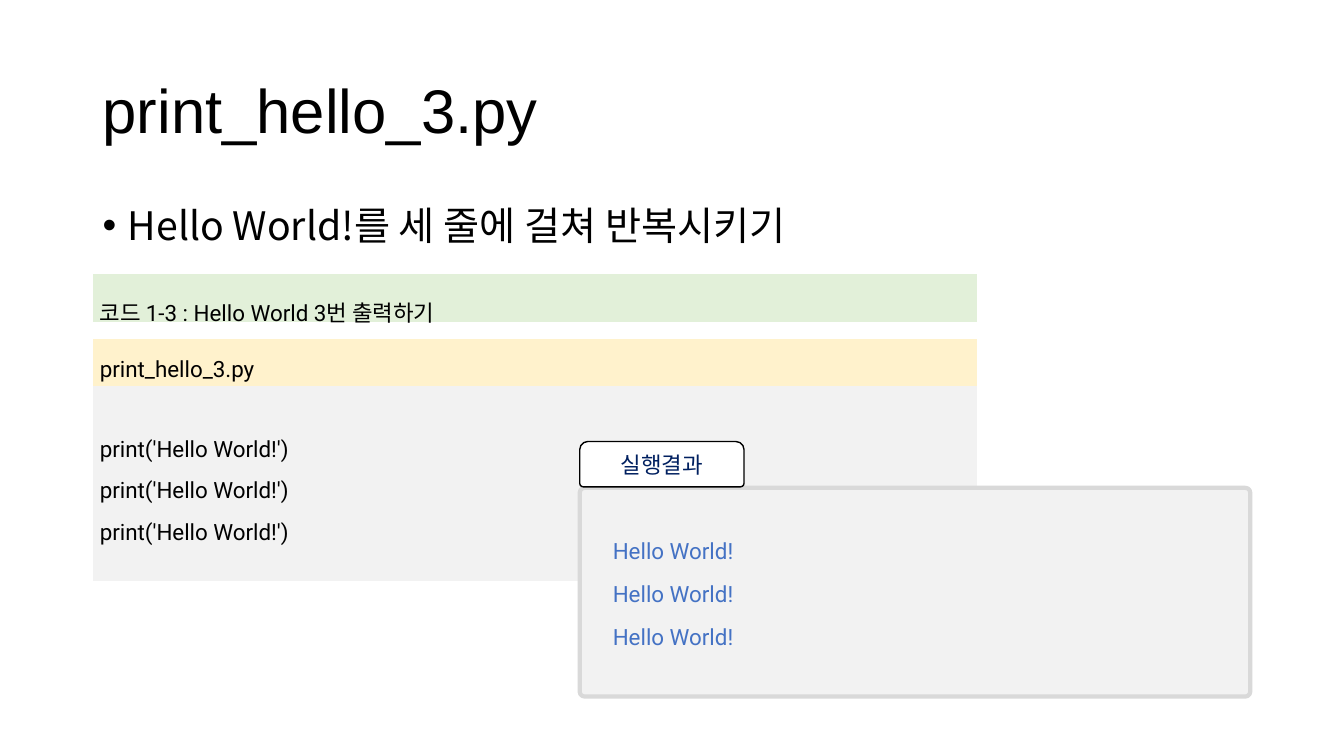
from lxml import etree
from pptx import Presentation
from pptx import util as u
from pptx.dml.color import RGBColor
from pptx.enum import shapes, text
from pptx.oxml.ns import qn

COLORS = {
    "black": "000000", "white": "FFFFFF", "navy": "002060", "blue": "4472C4",
    "green": "E2F0D9", "yellow": "FFF2CC", "gray": "F2F2F2", "border": "D9D9D9",
}
HANGUL = "Noto Sans CJK KR"
PLAIN_TABLE = "{2D5ABB26-0587-4C30-8999-92F81FD0307C}"
ALIGN, ANCHOR = text.PP_ALIGN, text.MSO_ANCHOR


def color(name):
    return RGBColor.from_string(COLORS[name])


def write(frame, lines, size=16, font="Roboto", ink="black", align=ALIGN.LEFT,
          anchor=ANCHOR.TOP, spacing=None, before=None, bullet=False):
    """Fill a text frame with one formatted paragraph per line."""
    frame.word_wrap = True
    frame.vertical_anchor = anchor
    for i, line in enumerate(lines):
        paragraph = frame.paragraphs[0] if i == 0 else frame.add_paragraph()
        paragraph.alignment = align
        paragraph.line_spacing = spacing
        if before:
            paragraph.space_before = u.Pt(before)
        if bullet:
            props = paragraph._p.get_or_add_pPr()
            props.set("marL", str(u.Inches(0.25)))
            props.set("indent", str(-u.Inches(0.25)))
            etree.SubElement(props, qn("a:buFont")).set("typeface", "Arial")
            etree.SubElement(props, qn("a:buChar")).set("char", "•")
        run = paragraph.add_run()
        run.text = line
        run.font.size = u.Pt(size)
        run.font.name = font
        run.font.color.rgb = color(ink)
        etree.SubElement(run._r.get_or_add_rPr(), qn("a:ea")).set("typeface", HANGUL)


class CodeSlide:
    def __init__(self, deck):
        self.slide = deck.slides.add_slide(deck.slide_layouts[6])
        self.shapes = self.slide.shapes

    def start_group(self):
        """Put all later elements into a new group."""
        self.shapes = self.slide.shapes.add_group_shape().shapes

    def text(self, box, lines, **style):
        label = self.shapes.add_textbox(*map(u.Inches, box))
        write(label.text_frame, lines, **style)

    def panel(self, kind, box, corners, fill, line, width):
        panel = self.shapes.add_shape(kind, *map(u.Inches, box))
        panel.shadow.inherit = False
        for i, corner in enumerate(corners):
            panel.adjustments[i] = corner
        panel.fill.solid()
        panel.fill.fore_color.rgb = color(fill)
        panel.line.color.rgb = color(line)
        panel.line.width = u.Pt(width)
        return panel

    def listing(self, box, rows):
        """Add a one-column table from (height, fill, lines, alignment) rows."""
        frame = self.shapes.add_table(len(rows), 1, *map(u.Inches, box))
        table = frame.table
        table.first_row = table.horz_banding = False
        table._tbl.tblPr.find(qn("a:tableStyleId")).text = PLAIN_TABLE
        for i, (height, fill, lines, align) in enumerate(rows):
            table.rows[i].height = u.Inches(height)
            cell = table.cell(i, 0)
            cell.margin_left = cell.margin_right = u.Inches(0.07)
            cell.margin_top = cell.margin_bottom = u.Inches(0.02)
            if fill:
                cell.fill.solid()
                cell.fill.fore_color.rgb = color(fill)
                write(cell.text_frame, lines, align=align, spacing=1.6)
                cell.vertical_anchor = ANCHOR.MIDDLE
            else:
                cell.fill.background()
                gap = cell.text_frame.paragraphs[0]._p
                etree.SubElement(gap, qn("a:endParaRPr")).set("sz", "400")


def main():
    deck = Presentation()
    deck.slide_width, deck.slide_height = u.Inches(13.33), u.Inches(7.5)
    page = CodeSlide(deck)
    file_name = "print_hello_3.py"

    page.text((0.92, 0.4, 11.5, 1.45), [file_name], size=44, font="Arial",
              anchor=ANCHOR.MIDDLE, spacing=0.9)
    page.text((0.92, 2, 11.5, 4.76), ["Hello World!를 세 줄에 걸쳐 반복시키기"],
              size=28, font=HANGUL, spacing=0.9, before=10, bullet=True)
    page.listing((0.92, 2.72, 8.77, 3.04), [
        (0.47, "green", ["코드 1-3 : Hello World 3번 출력하기"], ALIGN.LEFT),
        (0.17, None, [], None),
        (0.43, "yellow", [file_name], ALIGN.JUSTIFY),
        (1.94, "gray", ["print('Hello World!')"] * 3, ALIGN.JUSTIFY),
    ])

    page.start_group()
    kinds = shapes.MSO_SHAPE
    page.panel(kinds.ROUNDED_RECTANGLE, (5.75, 4.84, 6.65, 2.07), [0.023],
               "gray", "border", 3)
    result_tab = page.panel(kinds.ROUND_2_SAME_RECTANGLE, (5.75, 4.38, 1.63, 0.45),
                            [0.18, 0.08], "white", "black", 1)
    write(result_tab.text_frame, ["실행결과"], font=HANGUL, ink="navy",
          align=ALIGN.CENTER, anchor=ANCHOR.MIDDLE)
    page.text((5.98, 5.12, 6.06, 1.39), ["Hello World!"] * 3, ink="blue",
              align=ALIGN.JUSTIFY, spacing=1.6)
    deck.save("out.pptx")


if __name__ == "__main__":
    main()
